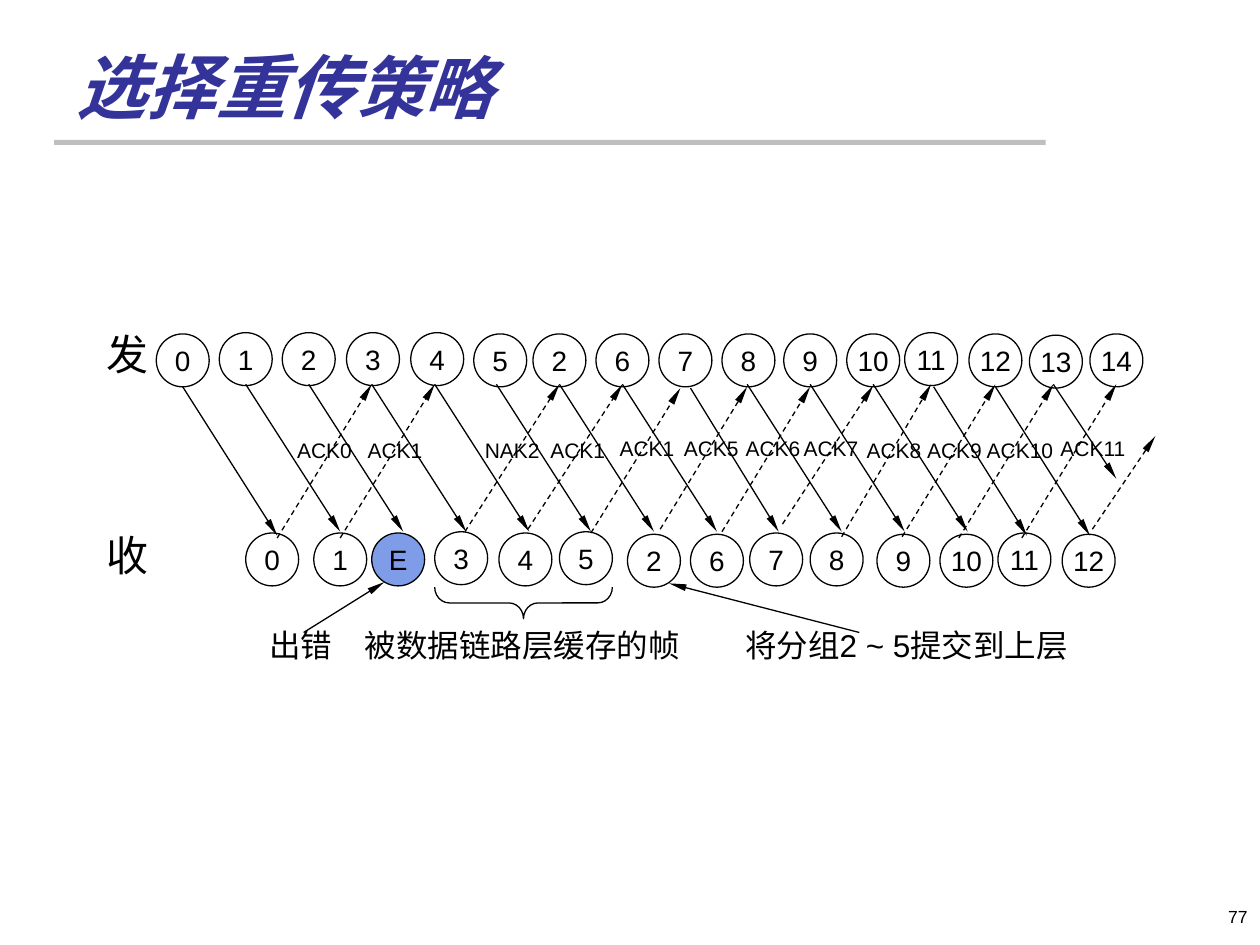
from lxml.etree import SubElement
from pptx import Presentation
from pptx.dml.color import RGBColor
from pptx.enum.dml import MSO_LINE
from pptx.enum.shapes import MSO_CONNECTOR, MSO_SHAPE
from pptx.enum.text import MSO_ANCHOR, PP_ALIGN
from pptx.oxml.ns import qn
from pptx.util import Inches, Pt

BLACK, TITLE, RULE, ERROR = "000000", "333399", "BFBFBF", "7E9CE8"
CIRCLE = 0.42
LABEL_H = 0.34

# Circles: number, left, top
SENT = [("0", 1.24, 2.65), ("1", 1.74, 2.64), ("2", 2.24, 2.64), ("3", 2.75, 2.64),
        ("4", 3.26, 2.64), ("5", 3.76, 2.65), ("2", 4.23, 2.65), ("6", 4.73, 2.65),
        ("7", 5.23, 2.65), ("8", 5.73, 2.65), ("9", 6.22, 2.65), ("10", 6.72, 2.65),
        ("11", 7.18, 2.64), ("12", 7.69, 2.65), ("13", 8.17, 2.66), ("14", 8.65, 2.65)]
RECEIVED = [("0", 1.95, 4.23), ("1", 2.49, 4.23), ("E", 2.95, 4.23), ("3", 3.45, 4.22),
            ("4", 3.96, 4.23), ("5", 4.44, 4.22), ("2", 4.98, 4.24), ("6", 5.48, 4.24),
            ("7", 5.95, 4.23), ("8", 6.43, 4.23), ("9", 6.96, 4.24), ("10", 7.46, 4.24),
            ("11", 7.92, 4.23), ("12", 8.43, 4.24)]
# Arrows: x and y of the start, x and y of the end
FRAMES = [(1.45, 3.07, 2.2, 4.25), (5.48, 3.08, 6.18, 4.22), (7.41, 3.07, 8.15, 4.25),
          (7.9, 3.07, 8.65, 4.25), (8.36, 3.05, 8.86, 3.8)]
FRAMES += [(x, 3.05, x + 0.75, 4.22) for x in
           (1.95, 2.45, 2.95, 3.45, 3.94, 4.44, 4.94, 5.93, 6.43, 6.93)]
REPLIES = [(2.2, 4.27, 2.95, 3.05), (2.7, 4.27, 3.45, 3.05), (3.69, 4.22, 4.44, 3.05),
           (4.19, 4.2, 4.94, 3.05), (4.69, 4.23, 5.4, 3.08), (5.24, 4.2, 5.93, 3.07),
           (5.73, 4.22, 6.43, 3.07), (6.21, 4.16, 6.93, 3.06), (6.68, 4.26, 7.39, 3.05),
           (7.16, 4.26, 7.9, 3.05), (7.61, 4.27, 8.36, 3.05), (8.11, 4.27, 8.86, 3.05),
           (8.67, 4.2, 9.17, 3.46)]
# Reply labels: text, left, top, width
REPLY_LABELS = [("ACK0", 2.2, 3.46, 0.75), ("ACK1", 2.76, 3.46, 0.75),
                ("NAK2", 3.69, 3.46, 0.75), ("ACK1", 4.21, 3.46, 0.75),
                ("ACK1", 4.76, 3.45, 0.75), ("ACK5", 5.27, 3.45, 0.75),
                ("ACK6", 5.76, 3.45, 0.75), ("ACK7", 6.22, 3.45, 0.75),
                ("ACK8", 6.72, 3.46, 0.75), ("ACK9", 7.2, 3.46, 0.75),
                ("ACK10", 7.66, 3.46, 0.87), ("ACK11", 8.21, 3.45, 0.93)]


def rgb(value):
    return RGBColor.from_string(value)


def inches(*values):
    return [Inches(v) for v in values]


def add_run(p, text, size, color=BLACK, **fmt):
    r = p.add_run()
    r.text = text
    r.font.color.rgb = rgb(color)
    for name, value in {"name": "Arial", "size": Pt(size), **fmt}.items():
        setattr(r.font, name, value)


def add_text(s, text, box, size, align=PP_ALIGN.CENTER, spacing=0.8,
             anchor=MSO_ANCHOR.TOP):
    tf = s.shapes.add_textbox(*inches(*box)).text_frame
    tf.word_wrap, tf.vertical_anchor = True, anchor
    p = tf.paragraphs[0]
    p.alignment, p.line_spacing = align, spacing
    add_run(p, text, size)


def add_outline(s, kind, box, fill=None):
    sp = s.shapes.add_shape(kind, *inches(*box))
    sp.shadow.inherit = False
    if fill:
        sp.fill.solid()
        sp.fill.fore_color.rgb = rgb(fill)
    else:
        sp.fill.background()
    sp.line.color.rgb = rgb(BLACK)
    sp.line.width = Pt(0.75)
    return sp


def add_circle(s, text, left, top):
    sp = add_outline(s, MSO_SHAPE.OVAL, (left, top, CIRCLE, CIRCLE),
                     ERROR if text == "E" else None)
    tf = sp.text_frame
    for side in ("left", "right", "top", "bottom"):
        setattr(tf, f"margin_{side}", 0)
    tf.word_wrap, tf.vertical_anchor = False, MSO_ANCHOR.MIDDLE
    tf.paragraphs[0].alignment = PP_ALIGN.CENTER
    add_run(tf.paragraphs[0], text, 16)


def add_arrow(s, ends, dashed=False):
    c = s.shapes.add_connector(MSO_CONNECTOR.STRAIGHT, *inches(*ends))
    c.line.color.rgb = rgb(BLACK)
    c.line.width = Pt(0.75)
    if dashed:
        c.line.dash_style = MSO_LINE.DASH
    SubElement(c.line._get_or_add_ln(), qn("a:tailEnd"), type="triangle", w="sm", len="lg")
    SubElement(c._element.spPr, qn("a:effectLst"))


def add_header(s, box):
    left, top, width, height = box
    rule = s.shapes.add_shape(MSO_SHAPE.RECTANGLE,
                              *inches(left - 0.08, top + 0.83, 7.87, 0.04))
    rule.shadow.inherit = False
    rule.fill.solid()
    rule.fill.fore_color.rgb = rgb(RULE)
    rule.line.fill.background()
    title = s.shapes.title
    title.left, title.top, title.width, title.height = inches(*box)
    tf = title.text_frame
    tf.vertical_anchor = MSO_ANCHOR.BOTTOM
    p = tf.paragraphs[0]
    p.alignment = PP_ALIGN.LEFT
    for text, size in (("选择重传", 40), ("策略", 39)):
        add_run(p, text, size, TITLE, name="Calibri", bold=True, italic=True)


def add_exchange(s):
    """Draw the sender and receiver rows with the arrows between them."""
    for ends in FRAMES:
        add_arrow(s, ends)
    for ends in REPLIES:
        add_arrow(s, ends, dashed=True)
    for text, left, top, width in REPLY_LABELS:
        add_text(s, text, (left, top, width, LABEL_H), 12)
    for name, top, row in (("发", 2.53, SENT), ("收", 4.13, RECEIVED)):
        add_text(s, name, (0.75, top, 0.55, 0.55), 24, PP_ALIGN.LEFT, 1,
                 MSO_ANCHOR.MIDDLE)
        for circle in row:
            add_circle(s, *circle)


def add_remarks(s, top):
    """Place the remarks under the receiver row, with their pointers."""
    for text, left, width in (("出错", 2.01, 0.75), ("被数据链路层缓存的帧", 2.76, 2.77),
                              ("将分组2 ~ 5提交到上层", 5.76, 2.87)):
        add_text(s, text, (left, top, width, 0.41), 18)
    add_arrow(s, (2.41, top + 0.04, 3.05, 4.62))
    add_arrow(s, (6.82, top + 0.04, 5.31, 4.63))
    brace = add_outline(s, MSO_SHAPE.LEFT_BRACE, (4.03, 4.08, 0.25, 1.41))
    brace.rotation = 270
    brace.adjustments[0] = 0.46


def main():
    prs = Presentation()
    prs.slide_width, prs.slide_height = inches(10, 7.5)
    s = prs.slides.add_slide(prs.slide_layouts[5])
    add_header(s, (0.51, 0.28, 8.25, 0.78))
    add_exchange(s)
    add_remarks(s, 4.98)
    add_text(s, "77", (7.67, 7.14, 2.33, 0.3), 10, PP_ALIGN.RIGHT, 1)
    prs.save("out.pptx")


if __name__ == "__main__":
    main()
